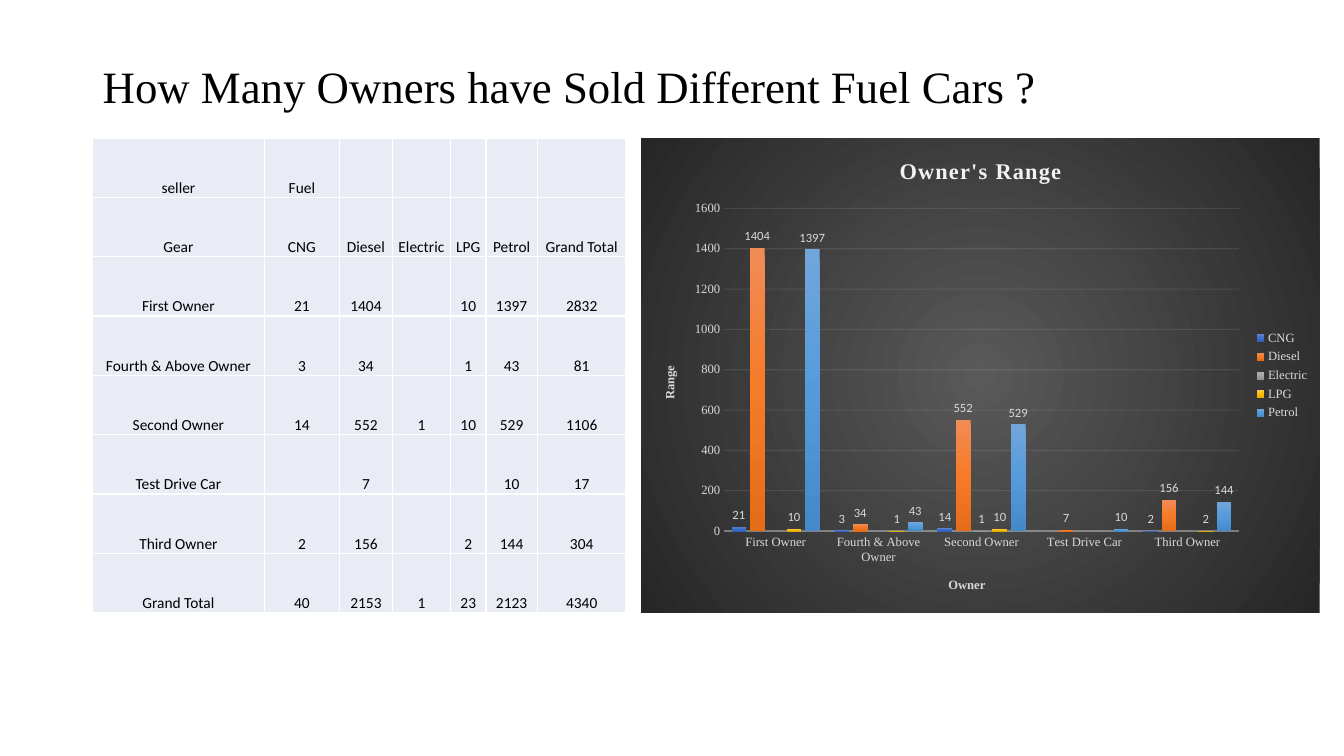
"""Build a slide with a table and a column chart of car owners by fuel type."""
from lxml import etree
from pptx import Presentation
from pptx.chart.data import CategoryChartData
from pptx.dml.color import RGBColor
from pptx.enum.chart import XL_CHART_TYPE, XL_LABEL_POSITION, XL_LEGEND_POSITION, XL_TICK_MARK
from pptx.enum.text import MSO_ANCHOR, PP_ALIGN
from pptx.oxml import parse_xml
from pptx.util import Inches, Pt

COLUMNS = XL_CHART_TYPE.COLUMN_CLUSTERED
OUTSIDE_END = XL_LABEL_POSITION.OUTSIDE_END
RIGHT = XL_LEGEND_POSITION.RIGHT
NO_TICKS = XL_TICK_MARK.NONE
MIDDLE, BOTTOM = MSO_ANCHOR.MIDDLE, MSO_ANCHOR.BOTTOM
CENTER = PP_ALIGN.CENTER

BLACK = RGBColor(0x00, 0x00, 0x00)
PALE_BLUE = RGBColor(0xE9, 0xEB, 0xF5)
LIGHT_GRAY = RGBColor(0xD9, 0xD9, 0xD9)
NEAR_WHITE = RGBColor(0xF2, 0xF2, 0xF2)
CHART_GRADIENT = [RGBColor(0x59, 0x59, 0x59), RGBColor(0x26, 0x26, 0x26)]
FUEL_GRADIENTS = {
    "CNG": [RGBColor(0x61, 0x83, 0xCB), RGBColor(0x3E, 0x70, 0xCA), RGBColor(0x30, 0x62, 0xBB)],
    "Diesel": [RGBColor(0xF1, 0x8C, 0x57), RGBColor(0xF6, 0x7B, 0x28), RGBColor(0xE5, 0x6C, 0x19)],
    "Electric": [RGBColor(0xAF, 0xAF, 0xAF), RGBColor(0xA5, 0xA5, 0xA5), RGBColor(0x93, 0x93, 0x93)],
    "LPG": [RGBColor(0xFF, 0xC6, 0x4B), RGBColor(0xFF, 0xC0, 0x00), RGBColor(0xE3, 0xAB, 0x00)],
    "Petrol": [RGBColor(0x71, 0xA6, 0xDB), RGBColor(0x55, 0x9B, 0xDB), RGBColor(0x44, 0x8A, 0xCA)],
}
SERIF, SANS = "Times New Roman", "Calibri"
DRAWING = "http://schemas.openxmlformats.org/drawingml/2006/main"
CHART = "http://schemas.openxmlformats.org/drawingml/2006/chart"
LINEAR = '<a:lin ang="5400000" scaled="0"/>'
RADIAL = '<a:path path="circle"><a:fillToRect l="50000" t="50000" r="50000" b="50000"/></a:path>'

OWNERS = {
    "First Owner": [21, 1404, None, 10, 1397],
    "Fourth & Above Owner": [3, 34, None, 1, 43],
    "Second Owner": [14, 552, 1, 10, 529],
    "Test Drive Car": [None, 7, None, None, 10],
    "Third Owner": [2, 156, None, 2, 144],
}


def style_font(font, name, size, color, bold=False):
    font.name, font.size, font.bold = name, Pt(size), bold
    font.color.rgb = color


def gradient_fill(colors, direction):
    stops = "".join(
        f'<a:gs pos="{100000 * index // (len(colors) - 1)}"><a:srgbClr val="{color}"/></a:gs>'
        for index, color in enumerate(colors))
    return parse_xml(f'<a:gradFill xmlns:a="{DRAWING}" rotWithShape="1">'
                     f'<a:gsLst>{stops}</a:gsLst>{direction}</a:gradFill>')


presentation = Presentation()
presentation.slide_width, presentation.slide_height = Inches(13.33), Inches(7.5)
slide = presentation.slides.add_slide(presentation.slide_layouts[6])

title_frame = slide.shapes.add_textbox(
    Inches(0.92), Inches(0.4), Inches(11.5), Inches(0.97)).text_frame
title_frame.word_wrap = True
title_frame.vertical_anchor = MIDDLE
paragraph = title_frame.paragraphs[0]
paragraph.text = "How Many Owners have Sold Different Fuel Cars ?"
paragraph.line_spacing = 0.9
style_font(paragraph.font, SERIF, 32, BLACK)

fuels = list(FUEL_GRADIENTS)
counts = [[value or 0 for value in values] for values in OWNERS.values()]
totals = [sum(column) for column in zip(*counts)]
rows = [["seller", "Fuel"] + [None] * 5, ["Gear", *fuels, "Grand Total"]]
rows += [[owner, *values, sum(count)] for (owner, values), count in zip(OWNERS.items(), counts)]
rows.append(["Grand Total", *totals, sum(totals)])

table = slide.shapes.add_table(
    len(rows), len(rows[0]), Inches(0.92), Inches(1.37), Inches(5.28), Inches(4.71)).table
table.first_row = table.horz_banding = False
for column, width in zip(table.columns, [1.7, 0.75, 0.52, 0.58, 0.35, 0.51, 0.88]):
    column.width = Inches(width)
for row_index, row in enumerate(rows):
    for column_index, value in enumerate(row):
        cell = table.cell(row_index, column_index)
        cell.fill.solid()
        cell.fill.fore_color.rgb = PALE_BLUE
        cell.vertical_anchor = BOTTOM
        cell.margin_left = cell.margin_right = cell.margin_top = Inches(0.01)
        cell.margin_bottom = 0
        paragraph = cell.text_frame.paragraphs[0]
        paragraph.text = "" if value is None else str(value)
        paragraph.alignment = CENTER
        style_font(paragraph.font, SANS, 11, BLACK)

chart_data = CategoryChartData()
chart_data.categories = list(OWNERS)
for fuel, values in zip(fuels, zip(*OWNERS.values())):
    chart_data.add_series(fuel, values)
chart = slide.shapes.add_chart(
    COLUMNS, Inches(6.36), Inches(1.37), Inches(6.73), Inches(4.71), chart_data).chart
style_font(chart.font, SANS, 10, BLACK)
background = etree.Element(f"{{{CHART}}}spPr")
background.append(gradient_fill(CHART_GRADIENT, RADIAL))
chart.element.find(f"{{{CHART}}}chart").addnext(background) if hasattr(chart, "element") else \
    chart._chartSpace.find(f"{{{CHART}}}chart").addnext(background)

chart.has_title = True
chart.chart_title.include_in_layout = False
paragraph = chart.chart_title.text_frame.paragraphs[0]
paragraph.text = "Owner's Range"
style_font(paragraph.font, SERIF, 16, NEAR_WHITE, bold=True)
paragraph.runs[0].font._element.set("spc", "100") if hasattr(paragraph.runs[0].font, "_element") else \
    paragraph.runs[0].font._rPr.set("spc", "100")

chart.has_legend = True
chart.legend.position = RIGHT
chart.legend.include_in_layout = False
style_font(chart.legend.font, SERIF, 9, LIGHT_GRAY)

category_axis, value_axis = chart.category_axis, chart.value_axis
value_axis.minimum_scale, value_axis.maximum_scale, value_axis.major_unit = 0, 1600, 200
for axis, name in [(category_axis, "Owner"), (value_axis, "Range")]:
    axis.major_tick_mark = axis.minor_tick_mark = NO_TICKS
    style_font(axis.tick_labels.font, SERIF, 9, LIGHT_GRAY)
    paragraph = axis.axis_title.text_frame.paragraphs[0]
    paragraph.text = name
    style_font(paragraph.font, SERIF, 9, LIGHT_GRAY, bold=True)
value_axis.format.line.fill.background()
for line, width, opacity in [(category_axis.format.line, 1, 54),
                             (value_axis.major_gridlines.format.line, 0.75, 10)]:
    line.width = Pt(width)
    line.color.rgb = NEAR_WHITE
    color = line._get_or_add_ln().find(f".//{{{DRAWING}}}srgbClr")
    etree.SubElement(color, f"{{{DRAWING}}}alpha", val=str(opacity * 1000))

plot = chart.plots[0]
plot.gap_width, plot.overlap, plot.vary_by_categories = 100, -24, False
for series in plot.series:
    series.invert_if_negative = False
    series._element.get_or_add_spPr().insert(0, gradient_fill(FUEL_GRADIENTS[series.name], LINEAR))
    labels = series.data_labels
    labels.show_value = True
    labels.position = OUTSIDE_END
    style_font(labels.font, SANS, 9, LIGHT_GRAY)

presentation.save("out.pptx")
